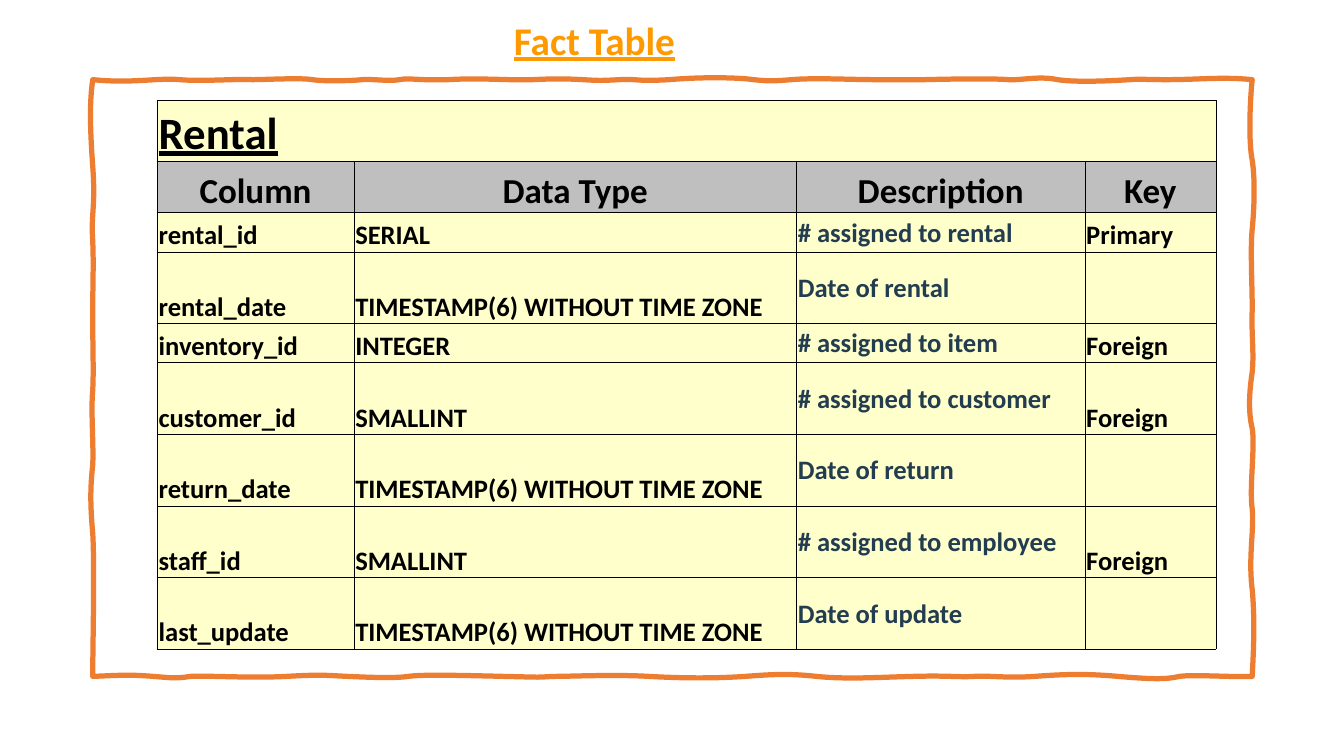
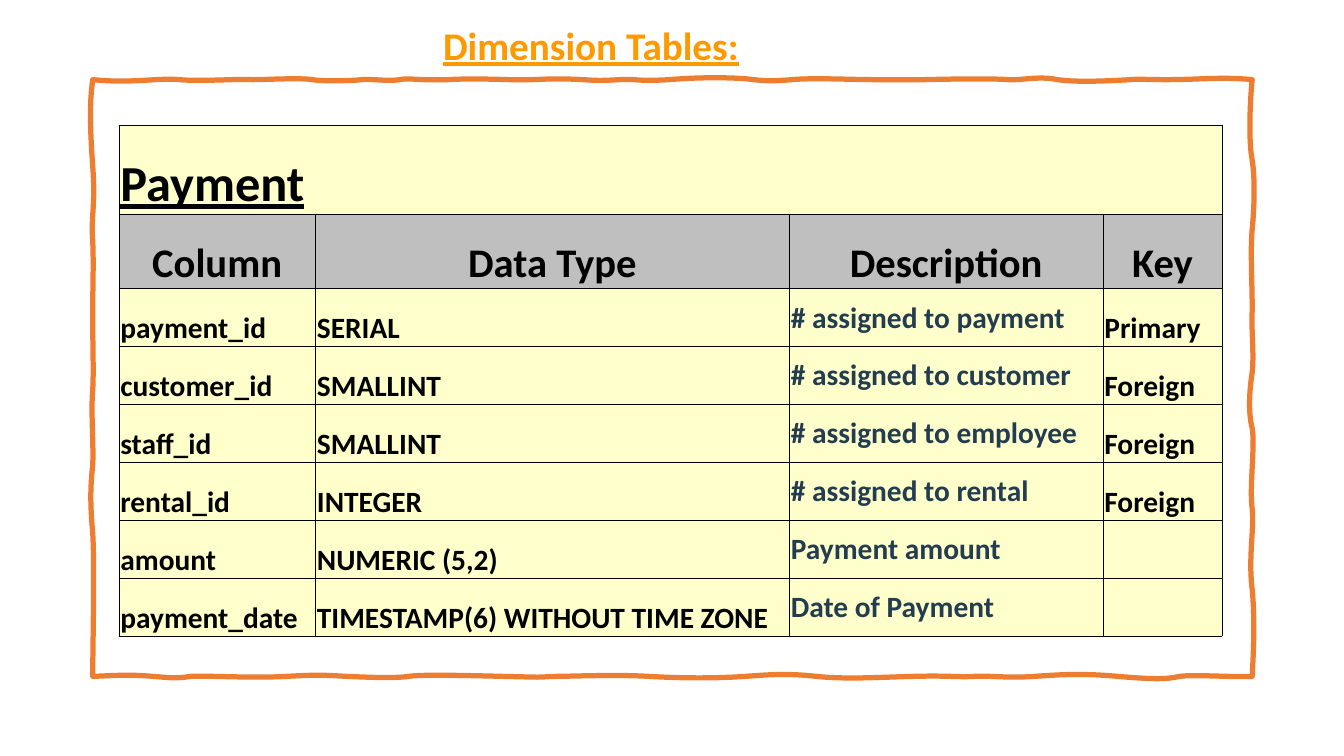
from lxml.etree import SubElement
from pptx import Presentation
from pptx.dml.color import RGBColor
from pptx.enum.text import MSO_ANCHOR as Anchor, MSO_AUTO_SIZE as AutoSize, PP_ALIGN as Align
from pptx.oxml.ns import qn
from pptx.util import Inches, Pt

COLORS = {
    "title": "FF9900",
    "frame": "ED7D31",
    "body": "FFFFCC",
    "header": "BFBFBF",
    "text": "000000",
    "description": "223C50",
}
FONT = "Calibri"
FRAME_BOX = (0.92, 0.79, 11.5, 5.92)
HEADERS = ("Column", "Data Type", "Description", "Key")
DESCRIPTION_COLUMN = HEADERS.index("Description")
TIMESTAMP = "TIMESTAMP(6) WITHOUT TIME ZONE"
ALL_SIDES = "LRTB"

BOTTOM_EDGE = [
    (0.25, -0.01, 0.36, -0.02, 0.6), (0.84, 0.02, 0.83, 0.02, 0.97),
    (1.12, -0.01, 1.57, 0.02, 1.92), (2.27, -0.02, 2.31, -0.01, 2.53),
    (2.75, 0.01, 3, 0.02, 3.13), (3.26, -0.02, 3.66, -0.01, 4.08),
    (4.5, 0.01, 4.38, 0.01, 4.57), (4.75, 0, 5.17, -0.02, 5.52),
    (5.86, 0.02, 6.19, 0.02, 6.47), (6.74, -0.02, 6.9, -0.03, 7.18),
    (7.47, 0.03, 7.77, 0.01, 8.13), (8.5, -0.01, 8.58, 0.01, 8.74),
    (8.9, -0.01, 9.06, 0.02, 9.34), (9.62, -0.02, 9.83, -0.03, 10.17),
    (10.52, 0.03, 10.65, 0.03, 10.78), (10.91, -0.02, 11.34, 0.01, 11.5),
]
RIGHT_EDGE = [
    (5.71, 0.01, 5.39, 0.03, 5.06), (4.74, -0.04, 4.47, 0.02, 4.26),
    (4.05, -0.03, 3.63, 0.03, 3.46), (3.3, -0.04, 3.1, -0.03, 2.9),
    (2.7, 0.02, 2.53, -0.01, 2.28), (2.03, 0, 1.68, -0.02, 1.48),
    (1.28, 0.02, 0.99, 0.03, 0.8), (0.6, -0.04, 0.18, -0.02, 0),
]
TOP_EDGE = [
    (11.2, -0.03, 10.97, 0, 10.66), (10.36, 0, 10.44, -0.01, 10.29),
    (10.13, 0.01, 9.76, 0.03, 9.57), (9.38, -0.04, 9.2, 0.01, 9.08),
    (8.97, -0.01, 8.65, -0.01, 8.25), (7.85, 0, 7.98, 0, 7.76),
    (7.53, 0, 7.15, -0.02, 6.93), (6.7, 0.02, 6.67, 0.01, 6.55),
    (6.43, -0.02, 6.06, -0.03, 5.72), (5.37, 0.02, 5.42, -0.01, 5.23),
    (5.03, 0.01, 5.03, 0.01, 4.86), (4.68, -0.01, 4.56, -0.01, 4.37),
    (4.17, 0.01, 3.84, -0.02, 3.53), (3.22, 0.01, 3.15, -0.02, 3.04),
    (2.94, 0.02, 2.76, -0.01, 2.67), (2.59, 0.01, 2.3, 0.02, 2.18),
    (2.06, -0.02, 1.72, 0, 1.58), (1.44, -0.01, 1.08, 0.02, 0.86),
    (0.64, -0.02, 0.39, 0.04, 0),
]
LEFT_EDGE = [
    (0.21, -0.03, 0.44, -0.03, 0.86), (1.27, 0.03, 1.33, -0.02, 1.6),
    (1.86, 0.01, 1.97, 0, 2.34), (2.7, 0, 2.88, 0.01, 3.08),
    (3.28, -0.02, 3.62, 0.01, 3.82), (4.01, -0.02, 4.17, -0.03, 4.5),
    (4.83, 0.02, 5.62, 0, 5.92),
]

RENTAL = {
    "title": "Fact Table",
    "title_box": (4.14, 0.11, 3.51, 0.57),
    "name": "Rental",
    "origin": (1.56, 1),
    "columns": (1.95, 4.39, 2.86, 1.3),
    "rows": (0.6, 0.51, 0.39, 0.71, 0.39, 0.71, 0.71, 0.71, 0.71),
    "sizes": (32, 25, 19),
    "fields": [
        ("rental_id", "SERIAL", "# assigned to rental", "Primary"),
        ("rental_date", TIMESTAMP, "Date of rental", ""),
        ("inventory_id", "INTEGER", "# assigned to item", "Foreign"),
        ("customer_id", "SMALLINT", "# assigned to customer", "Foreign"),
        ("return_date", TIMESTAMP, "Date of return", ""),
        ("staff_id", "SMALLINT", "# assigned to employee", "Foreign"),
        ("last_update", TIMESTAMP, "Date of update", ""),
    ],
}
PAYMENT = {
    "title": "Dimension Tables:",
    "title_box": (3.52, 0.16, 4.68, 0.57),
    "name": "Payment",
    "origin": (1.18, 1.24),
    "columns": (1.95, 4.7, 3.11, 1.18),
    "rows": (0.89, 0.73) + (3.45 / 6,) * 6,
    "sizes": (36, 29, 21),
    "fields": [
        ("payment_id", "SERIAL", "# assigned to payment", "Primary"),
        ("customer_id", "SMALLINT", "# assigned to customer", "Foreign"),
        ("staff_id", "SMALLINT", "# assigned to employee", "Foreign"),
        ("rental_id", "INTEGER", "# assigned to rental", "Foreign"),
        ("amount", "NUMERIC (5,2)", "Payment amount", ""),
        ("payment_date", TIMESTAMP, "Date of Payment", ""),
    ],
}


def color(name):
    """Return the named palette colour."""
    return RGBColor.from_string(COLORS[name])


def write_text(text_frame, text, size, fill="text", align=Align.LEFT, underline=False):
    """Write one bold formatted line into a text frame."""
    if not text:
        return
    paragraph = text_frame.paragraphs[0]
    paragraph.alignment = align
    run = paragraph.add_run()
    run.text = text
    font = run.font
    font.name, font.size, font.bold, font.underline = FONT, Pt(size), True, underline
    font.color.rgb = color(fill)


def add_title(slide, text, box):
    """Place the underlined slide title in its box, in front of the frame."""
    title = slide.shapes.title
    title.left, title.top, title.width, title.height = map(Inches, box)
    slide.shapes._spTree.append(title._element)
    text_frame = title.text_frame
    text_frame.word_wrap = True
    text_frame.auto_size = AutoSize.SHAPE_TO_FIT_TEXT
    text_frame.vertical_anchor = Anchor.TOP
    write_text(text_frame, text, 28, "title", Align.CENTER, True)


def edge_curves(edge, offset, vertical=False):
    """Turn (along, across, along, across, end) rows into three points per curve."""
    curves = []
    for along1, across1, along2, across2, end in edge:
        points = [(along1, offset + across1), (along2, offset + across2), (end, offset)]
        curves.append([(y, x) for x, y in points] if vertical else points)
    return curves


def bend_segments(shape, curves):
    """Replace the straight segments of a freeform by cubic curves."""
    segments = list(shape._element.iter(qn("a:lnTo")))
    for segment, points in zip(segments, curves):
        curve = segment.makeelement(qn("a:cubicBezTo"))
        for x, y in points:
            SubElement(curve, qn("a:pt"), x=str(Inches(x)), y=str(Inches(y)))
        segment.getparent().replace(segment, curve)


def add_frame(slide, box):
    """Draw the hand-sketched frame around the table."""
    left, top, width, height = box
    curves = (
        edge_curves(BOTTOM_EDGE, height)
        + edge_curves(RIGHT_EDGE, width, vertical=True)
        + edge_curves(TOP_EDGE, 0)
        + edge_curves(LEFT_EDGE, 0, vertical=True)
    )
    builder = slide.shapes.build_freeform(0, Inches(height))
    ends = [(Inches(x), Inches(y)) for *_, (x, y) in curves]
    builder.add_line_segments(ends, close=True)
    frame = builder.convert_to_shape(Inches(left), Inches(top))
    bend_segments(frame, curves)
    frame.shadow.inherit = False
    frame.fill.background()
    frame.line.color.rgb = color("frame")
    frame.line.width = Pt(3.75)


def format_cell(cell, fill, anchor=Anchor.BOTTOM, sides=ALL_SIDES):
    """Set the margins, borders, fill and anchor of a cell."""
    cell.margin_left = cell.margin_top = cell.margin_right = Pt(1)
    cell.margin_bottom = 0
    cell.vertical_anchor = anchor
    properties = cell._tc.get_or_add_tcPr()
    for side in ALL_SIDES:
        line = SubElement(properties, qn(f"a:ln{side}"), w=str(Pt(0.5)))
        if side in sides:
            solid = SubElement(line, qn("a:solidFill"))
            SubElement(solid, qn("a:srgbClr"), val=COLORS["text"])
        else:
            SubElement(line, qn("a:noFill"))
    cell.fill.solid()
    cell.fill.fore_color.rgb = color(fill)


def add_schema_table(slide, schema):
    """Add the table with its name row, header row and field rows."""
    columns, rows = schema["columns"], schema["rows"]
    name_size, header_size, field_size = schema["sizes"]
    box = (*schema["origin"], sum(columns), sum(rows))
    table = slide.shapes.add_table(len(rows), len(columns), *map(Inches, box)).table
    table.first_row = table.horz_banding = False
    for column, width in zip(table.columns, columns):
        column.width = Inches(width)
    for row, height in zip(table.rows, rows):
        row.height = Inches(height)

    outer_sides = ["LTB"] + ["TB"] * (len(columns) - 2) + ["RTB"]
    for cell, sides in zip(table.rows[0].cells, outer_sides):
        format_cell(cell, "body", sides=sides)
    write_text(table.cell(0, 0).text_frame, schema["name"], name_size, underline=True)

    for cell, text in zip(table.rows[1].cells, HEADERS):
        format_cell(cell, "header")
        write_text(cell.text_frame, text, header_size, align=Align.CENTER)

    for row_index, field in enumerate(schema["fields"], 2):
        for column_index, text in enumerate(field):
            described = column_index == DESCRIPTION_COLUMN
            cell = table.cell(row_index, column_index)
            format_cell(cell, "body", Anchor.MIDDLE if described else Anchor.BOTTOM)
            write_text(cell.text_frame, text, field_size, "description" if described else "text")


def add_schema_slide(presentation, schema):
    """Add one slide that describes a database table."""
    slide = presentation.slides.add_slide(presentation.slide_layouts[5])
    add_frame(slide, FRAME_BOX)
    add_schema_table(slide, schema)
    add_title(slide, schema["title"], schema["title_box"])


def main():
    """Build and save the presentation."""
    presentation = Presentation()
    presentation.slide_width, presentation.slide_height = Inches(13.33), Inches(7.5)
    for schema in (RENTAL, PAYMENT):
        add_schema_slide(presentation, schema)
    presentation.save("out.pptx")


if __name__ == "__main__":
    main()
